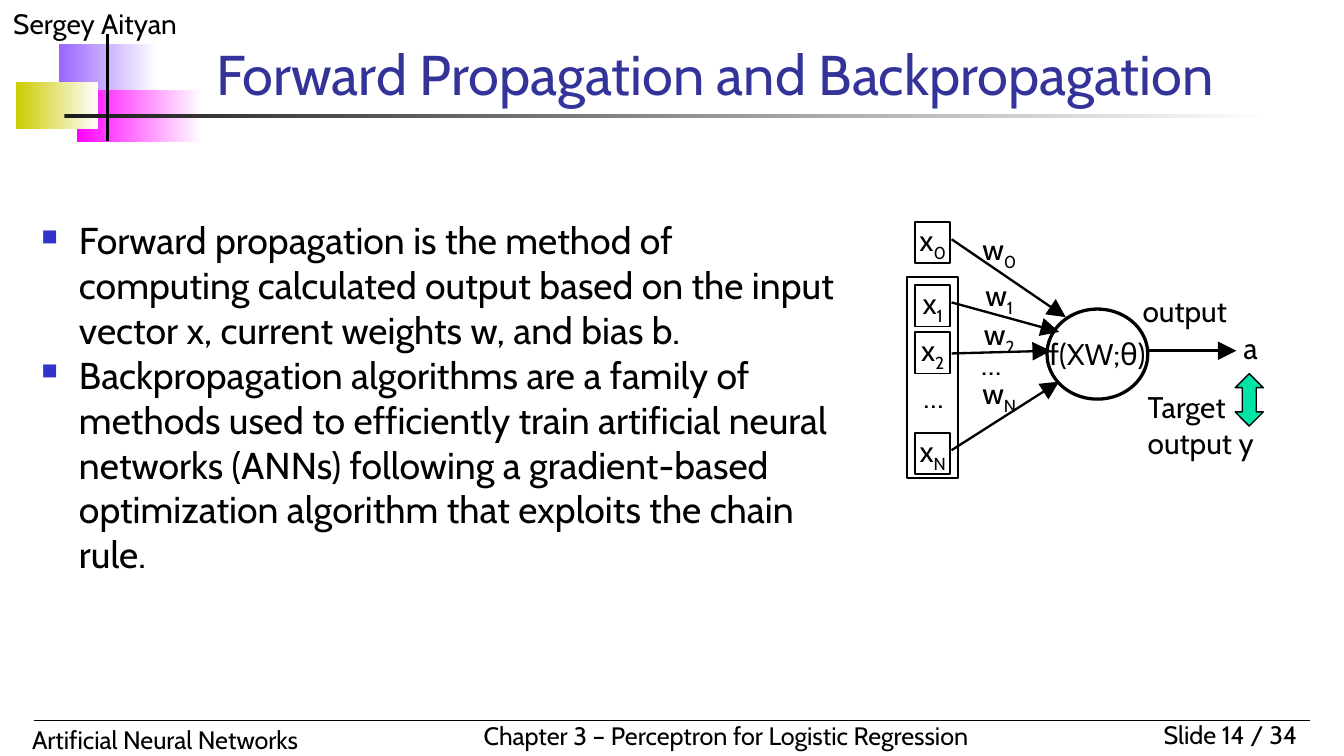
from lxml.etree import SubElement
from pptx import Presentation
from pptx.dml.color import RGBColor
from pptx.enum.shapes import MSO_CONNECTOR, MSO_SHAPE as SHAPE
from pptx.enum.text import MSO_ANCHOR as ANCHOR, PP_ALIGN as ALIGN
from pptx.oxml.ns import qn
from pptx.util import Pt

PX = 9144
SLIDE_WIDTH = 1000 * PX
FONT, BLACK = "Cabin", "000000"
CENTER = {"alignment": ALIGN.CENTER}
TIGHT = dict.fromkeys(("margin_left", "margin_top", "margin_right", "margin_bottom"), 0)

GRADIENT_BARS = [
    ((44, 33, 73, 39), "9966FF"),
    ((57, 67, 93, 39), "FF00FF"),
    ((12, 61, 61, 35), "CCCC00"),
    ((48, 85, 900, 3), "1C1C1C"),
]
RULES = [((25, 536, 975, 536), 0.75), ((80, 25, 80, 105), 2)]
MARGIN_TEXTS = [
    ("Sergey Aityan", (0, 0, 250, 35), 15, ALIGN.LEFT),
    ("Slide 14 / 34", (825, 530, 150, 33), 13.5, ALIGN.RIGHT),
    ("Artificial Neural Networks", (14, 534, 370, 33), 13.5, ALIGN.LEFT),
    ("Chapter 3 – Perceptron for Logistic Regression", (350, 531, 418, 33), 13.5, ALIGN.LEFT),
]
TITLE = "Forward Propagation and Backpropagation"
BULLETS = [
    "Forward propagation is the method of computing calculated output based on "
    "the input vector x, current weights w, and bias b.",
    "Backpropagation algorithms are a family of methods used to efficiently train "
    "artificial neural networks (ANNs) following a gradient-based optimization "
    "algorithm that exploits the chain rule.",
]
INPUTS = [("x_0", 165), ("x_1", 212), ("x_2", 247), ("x_N", 322)]
INPUT_VECTOR, NEURON = (675, 206, 38, 150), (779, 230, 75, 67)
ARROWS = [
    ((708, 178, 793, 236), 1.25),
    ((708, 225, 788, 247), 1.25),
    ((708, 263, 782, 261), 1.25),
    ((708, 335, 788, 284), 1.25),
    ((855, 261, 920, 261), 1.5),
]
LABELS = [
    ("w_0", (727, 172, 33, 27)),
    ("w_1", (727, 206, 33, 27)),
    ("w_2", (731, 235, 25, 27)),
    ("w_N", (725, 279, 37, 27)),
    ("…", (682, 282, 25, 27)),
    ("…", (725, 257, 25, 27)),
    ("output", (844, 218, 75, 27)),
    ("a", (919, 245, 23, 27)),
]
TARGET, TARGET_ARROW = ("Target output y", (854, 289, 84, 54)), (919, 278, 21, 39)


def emu(lengths):
    return [length * PX for length in lengths]


def rgb(color):
    return RGBColor.from_string(color)


def assign(target, values):
    for key, value in values.items():
        setattr(target, key, value)


def write(shape, lines, size, color=BLACK, frame=None, paragraph_format=None):
    """Fill a shape with paragraphs, setting what follows "_" as a subscript."""
    text_frame = shape.text_frame
    assign(text_frame, {"word_wrap": True, "vertical_anchor": ANCHOR.TOP, **(frame or {})})
    for index, line in enumerate(lines):
        paragraph = text_frame.add_paragraph() if index else text_frame.paragraphs[0]
        assign(paragraph, paragraph_format or {"alignment": ALIGN.LEFT})
        for level, part in enumerate(line.split("_")):
            run = paragraph.add_run()
            run.text = part
            assign(run.font, {"name": FONT, "size": Pt(size)})
            run.font.color.rgb = rgb(color)
            if level:
                run._r.get_or_add_rPr().set("baseline", "-25000")
    return text_frame


def add_text(slide, lines, box, *style, **formats):
    return write(slide.shapes.add_textbox(*emu(box)), lines, *style, **formats)


def add_figure(slide, kind, box, width=0, fill=None):
    figure = slide.shapes.add_shape(kind, *emu(box))
    figure.shadow.inherit = False
    if fill:
        figure.fill.solid()
        figure.fill.fore_color.rgb = rgb(fill)
    else:
        figure.fill.background()
    if width:
        figure.line.color.rgb = rgb(BLACK)
        figure.line.width = Pt(width)
    else:
        figure.line.fill.background()
    return figure


def add_line(slide, ends, width, arrow=False):
    line = slide.shapes.add_connector(MSO_CONNECTOR.STRAIGHT, *emu(ends))
    line.line.color.rgb = rgb(BLACK)
    line.line.width = Pt(width)
    if arrow:
        outline = line.line._get_or_add_ln()
        SubElement(outline, qn("a:tailEnd"), type="triangle", w="lg", len="lg")
    SubElement(line._element.spPr, qn("a:effectLst"))


def add_bullet(paragraph):
    properties = paragraph._p.get_or_add_pPr()
    for key, value in {"marL": 28 * PX, "indent": -28 * PX}.items():
        properties.set(key, str(value))
    SubElement(SubElement(properties, qn("a:buClr")), qn("a:srgbClr"), val="3333CC")
    SubElement(properties, qn("a:buSzPct"), val="60000")
    SubElement(properties, qn("a:buChar"), char="■")


def add_frame(slide):
    for box, color in GRADIENT_BARS:
        fill = add_figure(slide, SHAPE.RECTANGLE, box).fill
        fill.gradient()
        fill.gradient_angle = 0
        for stop, stop_color in zip(fill.gradient_stops, (color, "FFFFFF")):
            stop.color.rgb = rgb(stop_color)
    for text, box, size, alignment in MARGIN_TEXTS:
        add_text(slide, [text], box, size, paragraph_format={"alignment": alignment})
    for ends, width in RULES:
        add_line(slide, ends, width)


def add_network(slide):
    for ends, width in ARROWS:
        add_line(slide, ends, width, arrow=True)
    for name, top in INPUTS:
        node = add_figure(slide, SHAPE.RECTANGLE, (681, top, 26, 31), 1)
        write(node, [name], 16, frame={**TIGHT, "margin_bottom": 4 * PX}, paragraph_format=CENTER)
    add_figure(slide, SHAPE.RECTANGLE, INPUT_VECTOR, 1.25)
    for label, box in LABELS:
        add_text(slide, [label], box, 16, frame=TIGHT, paragraph_format=CENTER)
    neuron = add_figure(slide, SHAPE.OVAL, NEURON, 1.75)
    middle = {**TIGHT, "word_wrap": False, "vertical_anchor": ANCHOR.MIDDLE}
    write(neuron, ["f(XW;θ)"], 16, frame=middle, paragraph_format=CENTER)
    target, target_box = TARGET
    add_text(slide, [target], target_box, 16, frame=TIGHT)
    add_figure(slide, SHAPE.UP_DOWN_ARROW, TARGET_ARROW, 0.75, "00E4A8")


def main():
    deck = Presentation()
    assign(deck, {"slide_width": SLIDE_WIDTH, "slide_height": SLIDE_WIDTH * 9 // 16})
    slide = deck.slides.add_slide(deck.slide_layouts[6])
    add_frame(slide)
    add_text(slide, [TITLE], (151, 30, 814, 54), 30, "333399",
             frame={"vertical_anchor": ANCHOR.BOTTOM})
    body = add_text(slide, BULLETS, (21, 157, 617, 303), 20)
    for paragraph in body.paragraphs:
        add_bullet(paragraph)
    add_network(slide)
    deck.save("out.pptx")


if __name__ == "__main__":
    main()
